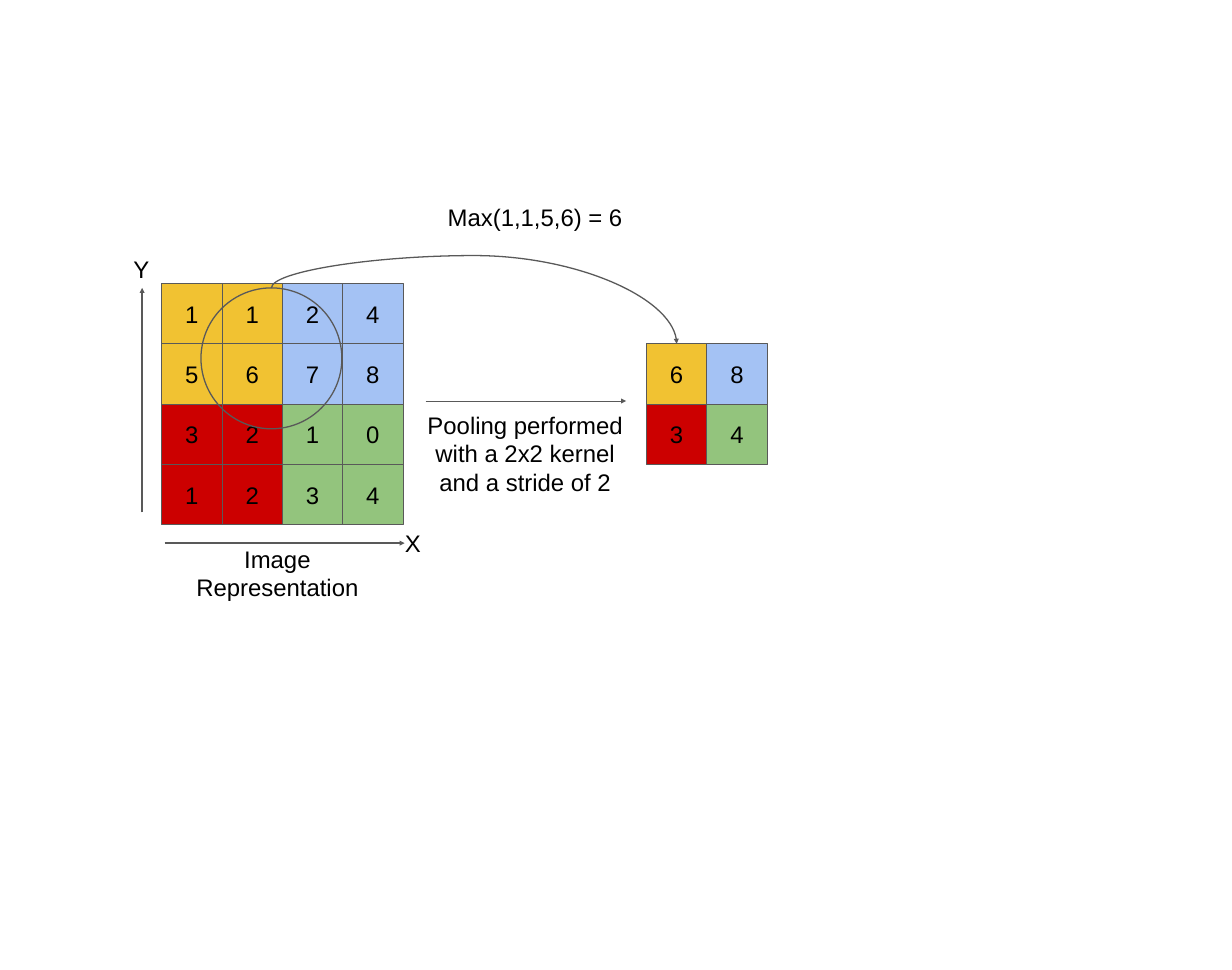
from lxml import etree
from pptx import Presentation
from pptx.dml.color import RGBColor
from pptx.enum import shapes, text
from pptx.oxml import ns
from pptx.util import Cm, Pt

COLORS = {"line": "595959", "text": "000000",
          "yellow": "F1C232", "blue": "A4C2F4", "red": "CC0000", "green": "93C47D"}
QUADRANTS = [["yellow", "blue"], ["red", "green"]]
IMAGE = [[1, 1, 2, 4],
         [5, 6, 7, 8],
         [3, 2, 1, 0],
         [1, 2, 3, 4]]
POOLED = [[6, 8],
          [3, 4]]

# Lengths in centimetres
SLIDE = (50.88, 40.06)
CELL = 2.49
INSET = 0.51
IMAGE_LEFT, IMAGE_TOP = 6.68, 11.71
POOLED_LEFT, POOLED_TOP = 26.7, IMAGE_TOP + CELL
CIRCLE_LEFT, CIRCLE_TOP, CIRCLE_SIZE = 8.3, 11.89, 5.82
CURVE_RISE = -57800  # bend of the curve, in 1/100000 of its height

# start x, start y, end x, end y, line width in points
ARROWS = [(6.8, 22.43, 16.71, 22.43, 1.5),
          (5.87, 21.16, 5.87, 11.89, 1.5),
          (17.58, 16.56, 25.86, 16.56, 0.75)]

# text, left, top, width, height, format
LABELS = [
    ("Max(1,1,5,6) = 6", 17.98, 7.87, 9.55, 3.86, {}),
    ("Image Representation", 6.68, 21.97, 9.55, 3.86, {"centred": True}),
    ("Y", 5, 10.01, CELL, 3.86, {}),
    ("X", 16.21, 21.34, CELL, 3.86, {}),
    ("Pooling performed with a 2x2 kernel and a stride of 2", 16.54, 16.26, 10.29, 4.93,
     {"centred": True, "middle": True}),
]


def color(name):
    return RGBColor.from_string(COLORS[name])


def write(shape, words, centred=False, middle=False, size=28):
    frame = shape.text_frame
    frame.word_wrap = True
    frame.margin_left = frame.margin_right = Cm(INSET)
    frame.margin_top = frame.margin_bottom = Cm(INSET)
    frame.vertical_anchor = text.MSO_ANCHOR.MIDDLE if middle else text.MSO_ANCHOR.TOP
    paragraph = frame.paragraphs[0]
    paragraph.alignment = text.PP_ALIGN.CENTER if centred else text.PP_ALIGN.LEFT
    run = paragraph.add_run()
    run.text = words
    run.font.size = Pt(size)
    run.font.name = "Arial"
    run.font.color.rgb = color("text")


def add_outlined(slide, kind, left, top, size, line_width, fill=None):
    shape = slide.shapes.add_shape(kind, Cm(left), Cm(top), Cm(size), Cm(size))
    shape.shadow.inherit = False
    if fill:
        shape.fill.solid()
        shape.fill.fore_color.rgb = color(fill)
    else:
        shape.fill.background()
    shape.line.color.rgb = color("line")
    shape.line.width = Pt(line_width)
    return shape


def add_grid(slide, values, left, top):
    """Draw square cells, each quadrant of the grid in its own colour."""
    half = len(values) // 2
    for row, numbers in enumerate(values):
        for column, number in enumerate(numbers):
            cell = add_outlined(slide, shapes.MSO_SHAPE.RECTANGLE,
                                left + column * CELL, top + row * CELL, CELL, 0.75,
                                fill=QUADRANTS[row // half][column // half])
            write(cell, str(number), centred=True, middle=True)


def add_arrow(slide, start_x, start_y, end_x, end_y, line_width,
              kind=shapes.MSO_CONNECTOR.STRAIGHT):
    arrow = slide.shapes.add_connector(kind, Cm(start_x), Cm(start_y), Cm(end_x), Cm(end_y))
    arrow.line.color.rgb = color("line")
    arrow.line.width = Pt(line_width)
    properties = arrow._element.spPr
    etree.SubElement(properties.find(ns.qn("a:ln")), ns.qn("a:tailEnd"), type="triangle")
    etree.SubElement(properties, ns.qn("a:effectLst"))
    return arrow


def add_arched_arrow(slide, start_x, start_y, end_x, end_y):
    """Turn a curved connector upright so that it leaves upwards and lands from above."""
    arrow = add_arrow(slide, start_x, start_y, end_x, end_y, 1.5, shapes.MSO_CONNECTOR.CURVE)
    across, down = end_x - start_x, end_y - start_y
    arrow.left = Cm((start_x + end_x - down) / 2)
    arrow.top = Cm((start_y + end_y - across) / 2)
    arrow.width, arrow.height = Cm(down), Cm(across)
    properties = arrow._element.spPr
    frame = properties.find(ns.qn("a:xfrm"))
    frame.set("rot", str(270 * 60000))
    frame.set("flipH", "1")
    adjustments = properties.find(ns.qn("a:prstGeom")).get_or_add_avLst()
    etree.SubElement(adjustments, ns.qn("a:gd"), name="adj1", fmla=f"val {CURVE_RISE}")


def main():
    presentation = Presentation()
    presentation.slide_width, presentation.slide_height = map(Cm, SLIDE)
    slide = presentation.slides.add_slide(presentation.slide_layouts[6])

    add_grid(slide, IMAGE, IMAGE_LEFT, IMAGE_TOP)
    add_grid(slide, POOLED, POOLED_LEFT, POOLED_TOP)
    for arrow in ARROWS:
        add_arrow(slide, *arrow)
    add_outlined(slide, shapes.MSO_SHAPE.OVAL, CIRCLE_LEFT, CIRCLE_TOP, CIRCLE_SIZE, 1.5)
    add_arched_arrow(slide, CIRCLE_LEFT + CIRCLE_SIZE / 2, CIRCLE_TOP,
                     POOLED_LEFT + CELL / 2, POOLED_TOP)
    for words, left, top, width, height, style in LABELS:
        box = slide.shapes.add_textbox(Cm(left), Cm(top), Cm(width), Cm(height))
        write(box, words, **style)

    presentation.save("out.pptx")


if __name__ == "__main__":
    main()
